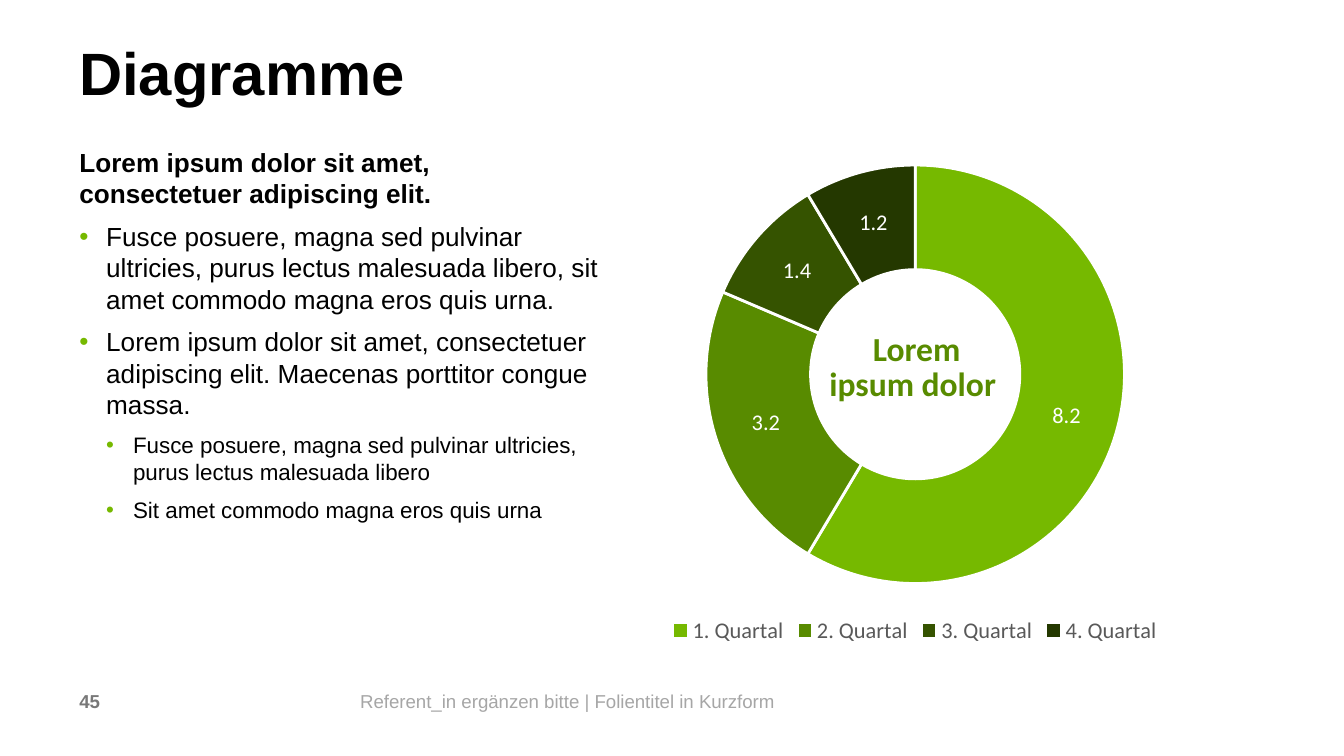
"""Build a slide with a bullet list and a doughnut chart of four quarters."""
from dataclasses import dataclass

import lxml.etree
import pptx
import pptx.chart.data
import pptx.dml.color
import pptx.enum.chart
import pptx.enum.text
import pptx.oxml.ns
import pptx.util

Inches = pptx.util.Inches
Pt = pptx.util.Pt
qn = pptx.oxml.ns.qn
Align = pptx.enum.text.PP_ALIGN


@dataclass(frozen=True)
class Theme:
    sans: str = "Arial"
    chart: str = "Calibri"
    black: str = "000000"
    white: str = "FFFFFF"
    green: str = "76B900"
    moss: str = "588B00"
    pine: str = "355300"
    dark: str = "243800"
    grey: str = "787878"
    pale: str = "A6A6A6"
    slate: str = "595959"
    head: int = 32
    core: int = 18
    body: int = 14
    sub: int = 12
    small: int = 10


THEME = Theme()
STEP = 0.2


@dataclass(frozen=True)
class Box:
    left: float
    top: float
    width: float
    height: float

    def size(self) -> tuple:
        return tuple(Inches(n) for n in (self.left, self.top, self.width, self.height))


@dataclass(frozen=True)
class Item:
    text: str
    size: int
    font: str = THEME.sans
    color: str = THEME.black
    bold: bool = False
    level: int = 0
    align: Align = Align.LEFT
    space: float | None = None
    after: int = 0


def rgb(code: str) -> pptx.dml.color.RGBColor:
    """Turn a hex code into a colour."""
    return pptx.dml.color.RGBColor.from_string(code)


def style(font, name: str, size: int, color: str, bold: bool = False) -> None:
    """Set the look of a font."""
    font.name, font.size, font.bold = name, Pt(size), bold
    font.color.rgb = rgb(color)


def bullet(para, level: int) -> None:
    """Give a paragraph a green bullet and a hanging indent."""
    props = para._p.get_or_add_pPr()
    props.set("marL", str(Inches(STEP * level)))
    props.set("indent", str(-Inches(STEP)))
    color = lxml.etree.SubElement(props, qn("a:buClr"))
    lxml.etree.SubElement(color, qn("a:srgbClr"), val=THEME.green)
    lxml.etree.SubElement(props, qn("a:buFont"), typeface=THEME.sans)
    lxml.etree.SubElement(props, qn("a:buChar"), char="•")


def write(frame, items: list[Item], inset: bool = False) -> None:
    """Fill a text frame with styled paragraphs."""
    frame.word_wrap = True
    frame.vertical_anchor = pptx.enum.text.MSO_ANCHOR.TOP
    if not inset:
        frame.margin_left = frame.margin_right = 0
        frame.margin_top = frame.margin_bottom = 0
    for spot, item in enumerate(items):
        para = frame.add_paragraph() if spot else frame.paragraphs[0]
        if item.level:
            bullet(para, item.level)
        para.alignment = item.align
        para.space_before = Pt(0)
        para.space_after = Pt(item.after)
        if item.space:
            para.line_spacing = item.space
        for row, line in enumerate(item.text.split("\n")):
            if row:
                para.add_line_break()
            run = para.add_run()
            run.text = line
            style(run.font, item.font, item.size, item.color, item.bold)


def label(slide, box: Box, items: list[Item], inset: bool = False) -> None:
    """Add a text box."""
    write(slide.shapes.add_textbox(*box.size()).text_frame, items, inset)


def ring(slide, box: Box) -> None:
    """Add the doughnut chart."""
    data = pptx.chart.data.CategoryChartData()
    data.categories = [f"{n}. Quartal" for n in range(1, 5)]
    data.add_series("Series 1", (8.2, 3.2, 1.4, 1.2))
    kind = pptx.enum.chart.XL_CHART_TYPE.DOUGHNUT
    chart = slide.shapes.add_chart(kind, *box.size(), data).chart
    style(chart.font, THEME.chart, THEME.small, THEME.black)
    chart.has_title = False
    chart.has_legend = True
    chart.legend.position = pptx.enum.chart.XL_LEGEND_POSITION.BOTTOM
    chart.legend.include_in_layout = False
    style(chart.legend.font, THEME.chart, THEME.sub, THEME.slate)
    plot = chart.plots[0]
    plot.vary_by_categories = True
    plot._element.find(qn("c:holeSize")).set("val", "75")
    series = plot.series[0]
    for spot, color in enumerate((THEME.green, THEME.moss, THEME.pine, THEME.dark)):
        form = series.points[spot].format
        form.fill.solid()
        form.fill.fore_color.rgb = rgb(color)
        form.line.color.rgb = rgb(THEME.white)
        form.line.width = Pt(1.5)
    tags = series.data_labels
    tags.show_value = True
    style(tags.font, THEME.chart, THEME.sub, THEME.white)


def point(text: str, level: int = 0) -> Item:
    """Make one entry of the body list."""
    size = THEME.sub if level == 2 else THEME.body
    return Item(text, size, bold=not level, level=level, after=6)


def main() -> None:
    """Build and save the deck."""
    deck = pptx.Presentation()
    deck.slide_width = Inches(10)
    deck.slide_height = deck.slide_width * 9 // 16
    slide = deck.slides.add_slide(deck.slide_layouts[5])
    title = slide.shapes.title
    title.left, title.top, title.width, title.height = Box(0.59, 0.33, 8.23, 0.49).size()
    write(title.text_frame, [Item("Diagramme", THEME.head, bold=True, space=Pt(34))])
    label(slide, Box(0.59, 1.09, 4.02, 3.74), [
        point("Lorem ipsum dolor sit amet, \nconsectetuer adipiscing elit."),
        point("Fusce posuere, magna sed pulvinar ultricies, purus lectus "
              "malesuada libero, sit amet commodo magna eros quis urna.", 1),
        point("Lorem ipsum dolor sit amet, consectetuer adipiscing elit. "
              "Maecenas porttitor congue massa.", 1),
        point("Fusce posuere, magna sed pulvinar ultricies, \n"
              "purus lectus malesuada libero", 2),
        point("Sit amet commodo magna eros quis urna", 2),
    ])
    ring(slide, Box(4.8, 1.09, 4.02, 3.74))
    label(slide, Box(6.06, 2.44, 1.52, 0.62), [
        Item("Lorem ipsum dolor ", THEME.core, THEME.chart, THEME.moss, True,
             align=Align.CENTER, space=0.85)], True)
    label(slide, Box(0.59, 5.13, 1.89, 0.2), [
        Item("45", THEME.small, color=THEME.grey, bold=True)])
    label(slide, Box(2.68, 5.13, 6, 0.2), [
        Item("Referent_in ergänzen bitte | Folientitel in Kurzform",
             THEME.small, color=THEME.pale)])
    deck.save("out.pptx")


if __name__ == "__main__":
    main()
